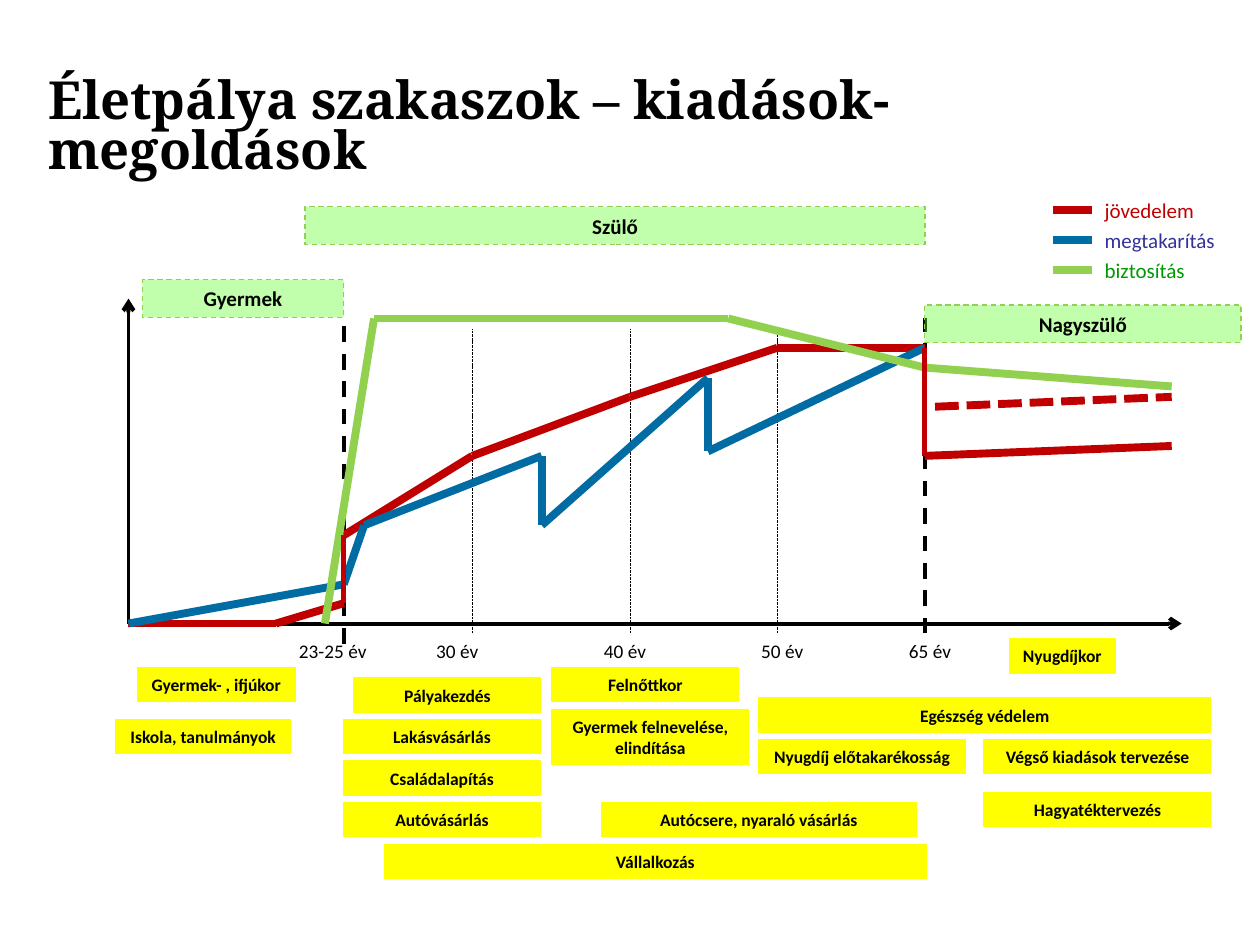
from itertools import pairwise

from lxml import etree
from pptx import Presentation
from pptx.dml.color import RGBColor
from pptx.enum.dml import MSO_LINE
from pptx.enum.shapes import MSO_CONNECTOR, MSO_SHAPE
from pptx.enum.text import MSO_ANCHOR, PP_ALIGN
from pptx.oxml.ns import qn
from pptx.util import Cm, Pt

STRAIGHT = MSO_CONNECTOR.STRAIGHT
RECTANGLE = MSO_SHAPE.RECTANGLE
DASH, SHORT_DASH = MSO_LINE.DASH, MSO_LINE.SQUARE_DOT
LEFT, CENTER = PP_ALIGN.LEFT, PP_ALIGN.CENTER
TOP, MIDDLE = MSO_ANCHOR.TOP, MSO_ANCHOR.MIDDLE

BLACK = RGBColor(0x00, 0x00, 0x00)
YELLOW = RGBColor(0xFF, 0xFF, 0x00)
RED = RGBColor(0xC0, 0x00, 0x00)
BLUE = RGBColor(0x00, 0x6C, 0xA3)
GREEN = RGBColor(0x92, 0xD0, 0x50)
BRIGHT_GREEN = RGBColor(0x66, 0xFF, 0x33)
INDIGO = RGBColor(0x33, 0x33, 0x99)
LEAF = RGBColor(0x00, 0x99, 0x00)

THICK = 4.5
BODY = {"name": "Calibri", "size": Pt(11), "bold": False}
LABEL = BODY | {"size": Pt(10), "bold": True}
STAGE = BODY | {"size": Pt(12), "bold": True}
LEGEND = BODY | {"size": Pt(12)}
TITLE = {"name": "Noto Serif", "size": Pt(30), "bold": True}


def write(shape, text, font, color=BLACK, align=CENTER, anchor=MIDDLE, margin=0.13):
    """Fill a shape with one formatted paragraph and return it."""
    frame = shape.text_frame
    layout = {"word_wrap": True, "vertical_anchor": anchor,
              "margin_left": Cm(margin), "margin_right": Cm(margin)}
    for name, value in layout.items():
        setattr(frame, name, value)
    para = frame.paragraphs[0]
    para.alignment = align
    span = para.add_run()
    span.text = text
    for name, value in font.items():
        setattr(span.font, name, value)
    span.font.color.rgb = color
    return para


def add_text(page, left, top, width, height, text, font, **options):
    """Place a text box, measured in centimetres."""
    box = page.shapes.add_textbox(Cm(left), Cm(top), Cm(width), Cm(height))
    return write(box, text, font, **options)


def add_box(page, left, top, width, height, text, font, fill, outline):
    """Place a filled rectangle with centred text."""
    box = page.shapes.add_shape(RECTANGLE, Cm(left), Cm(top), Cm(width), Cm(height))
    box.shadow.inherit = False
    box.fill.solid()
    box.fill.fore_color.rgb = fill
    box.line.color.rgb = outline
    box.line.width = Pt(0.75)
    write(box, text, font)
    return box


def add_line(page, start, end, color, width, dash=None, arrow=False):
    """Draw a straight line between two points."""
    line = page.shapes.add_connector(STRAIGHT, *(Cm(v) for v in (*start, *end)))
    line.line.color.rgb = color
    line.line.width = Pt(width)
    if dash:
        line.line.dash_style = dash
    properties = line._element.spPr
    if arrow:
        etree.SubElement(properties.find(qn("a:ln")), qn("a:tailEnd"), type="arrow")
    etree.SubElement(properties, qn("a:effectLst"))


def add_curves(page, left, base):
    """Draw axes, age marks and curves; points are (right, up) from the origin."""
    def draw(points, color, width, **options):
        spots = [(left + x, base - y) for x, y in points]
        for start, end in pairwise(spots):
            add_line(page, start, end, color, width, **options)

    for tip in ((21.23, 0), (0, 6.55)):
        draw([(0, 0), tip], BLACK, 2.25, arrow=True)
    for x, foot in ((4.34, -0.41), (16.05, -0.2)):
        draw([(x, foot), (x, 6.15)], BLACK, 2.25, dash=DASH)
    for x in (6.93, 10.11, 13.08):
        draw([(x, -0.2), (x, 5.94)], BLACK, 0.5, dash=SHORT_DASH)
    ages = {"23-25 év": 4.12, "30 év": 6.63, "40 év": 10.01,
            "50 év": 13.18, "65 év": 16.16}
    for age, x in ages.items():
        add_text(page, left + x - 1, base + 0.2, 2, 0.71, age, BODY)

    income = (
        [(0, 0), (2.97, 0), (4.34, 0.41)],
        [(4.34, 1.78), (6.93, 3.38), (10.11, 4.57), (13.08, 5.56), (16.05, 5.56)],
        [(16.05, 3.38), (21.03, 3.58)],
    )
    savings = [(0, 0), (4.34, 0.79), (4.75, 1.98), (8.33, 3.38), (8.33, 1.98),
               (11.68, 4.95), (11.68, 3.47), (16.05, 5.56)]
    insurance = [(3.96, 0), (4.95, 6.15), (12.09, 6.15), (16.05, 5.16), (21.03, 4.78)]
    for stretch in income:
        draw(stretch, RED, THICK)
    draw(savings, BLUE, THICK)
    draw([(16.26, 4.37), (21.03, 4.57)], RED, THICK, dash=SHORT_DASH)
    draw(insurance, GREEN, THICK)
    for x, low, high in ((4.34, 0.41, 1.78), (16.05, 3.38, 5.56)):
        draw([(x, low), (x, high)], RED, 3)


def add_legend(page, left, top):
    """List the three curves with their line samples."""
    entries = (("jövedelem", RED, RED), ("megtakarítás", BLUE, INDIGO),
               ("biztosítás", GREEN, LEAF))
    for row, (text, color, ink) in enumerate(entries):
        y = top + row * 0.6
        add_line(page, (left, y), (left + 0.79, y), color, THICK)
        add_text(page, left + 0.79, y - 0.38, 3.02, 0.76, text, LEGEND,
                 color=ink, align=LEFT, margin=0.25)


def add_stages(page, left, top):
    """Place the translucent life stage bars."""
    stages = (("Gyermek", 0, 1.47, 4.06), ("Szülő", 3.28, 0, 12.5),
              ("Nagyszülő", 15.77, 1.98, 6.38))
    for text, x, y, width in stages:
        bar = add_box(page, left + x, top + y, width, 0.76, text, STAGE,
                      BRIGHT_GREEN, GREEN)
        bar.line.dash_style = DASH
        tint = bar._element.spPr.find(qn("a:solidFill"))[0]
        etree.SubElement(tint, qn("a:alpha"), val="40000")


def add_expenses(page, left, top):
    """Place the yellow labels of ages and expenses."""
    expenses = (
        ("Gyermek- , ifjúkor", 0.43, 0.58, 3.18),
        ("Iskola, tanulmányok", 0, 1.62, 3.51),
        ("Pályakezdés", 4.8, 0.79, 3.76),
        ("Lakásvásárlás", 4.59, 1.62, 3.96),
        ("Családalapítás", 4.59, 2.46, 3.96),
        ("Autóvásárlás", 4.59, 3.3, 3.96),
        ("Vállalkozás", 5.41, 4.14, 10.92),
        ("Felnőttkor", 8.79, 0.58, 3.76),
        ("Gyermek felnevelése, elindítása", 8.79, 1.42, 3.96, 1.12),
        ("Autócsere, nyaraló vásárlás", 9.78, 3.3, 6.35),
        ("Nyugdíjkor", 18.01, 0, 2.13),
        ("Egészség védelem", 12.95, 1.19, 9.12),
        ("Nyugdíj előtakarékosság", 12.95, 2.03, 4.17),
        ("Végső kiadások tervezése", 17.5, 2.03, 4.57),
        ("Hagyatéktervezés", 17.5, 3.1, 4.57),
    )
    for text, x, y, width, *tall in expenses:
        height = tall[0] if tall else 0.69
        add_box(page, left + x, top + y, width, height, text, LABEL, YELLOW, YELLOW)


def build():
    """Build the slide and save the deck."""
    deck = Presentation()
    deck.slide_width, deck.slide_height = Cm(25.4), Cm(19.05)
    page = deck.slides.add_slide(deck.slide_layouts[6])
    title = add_text(page, 0.79, 1.47, 22.6, 2.31,
                     "Életpálya szakaszok – kiadások- megoldások", TITLE,
                     align=LEFT, anchor=TOP, margin=0.18)
    title.line_spacing = 0.8
    add_curves(page, 2.59, 12.57)
    add_legend(page, 21.23, 4.24)
    add_expenses(page, 2.34, 12.88)
    add_stages(page, 2.87, 4.17)
    deck.save("out.pptx")


build()
